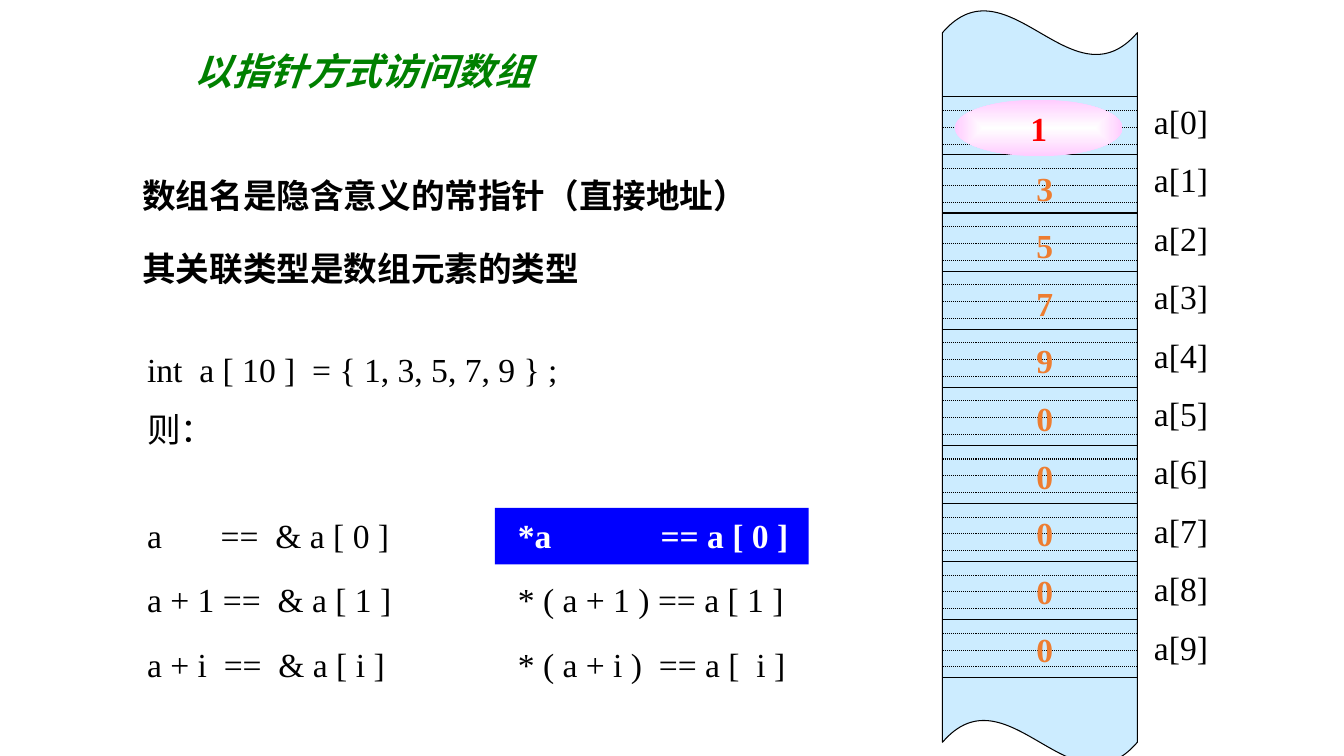
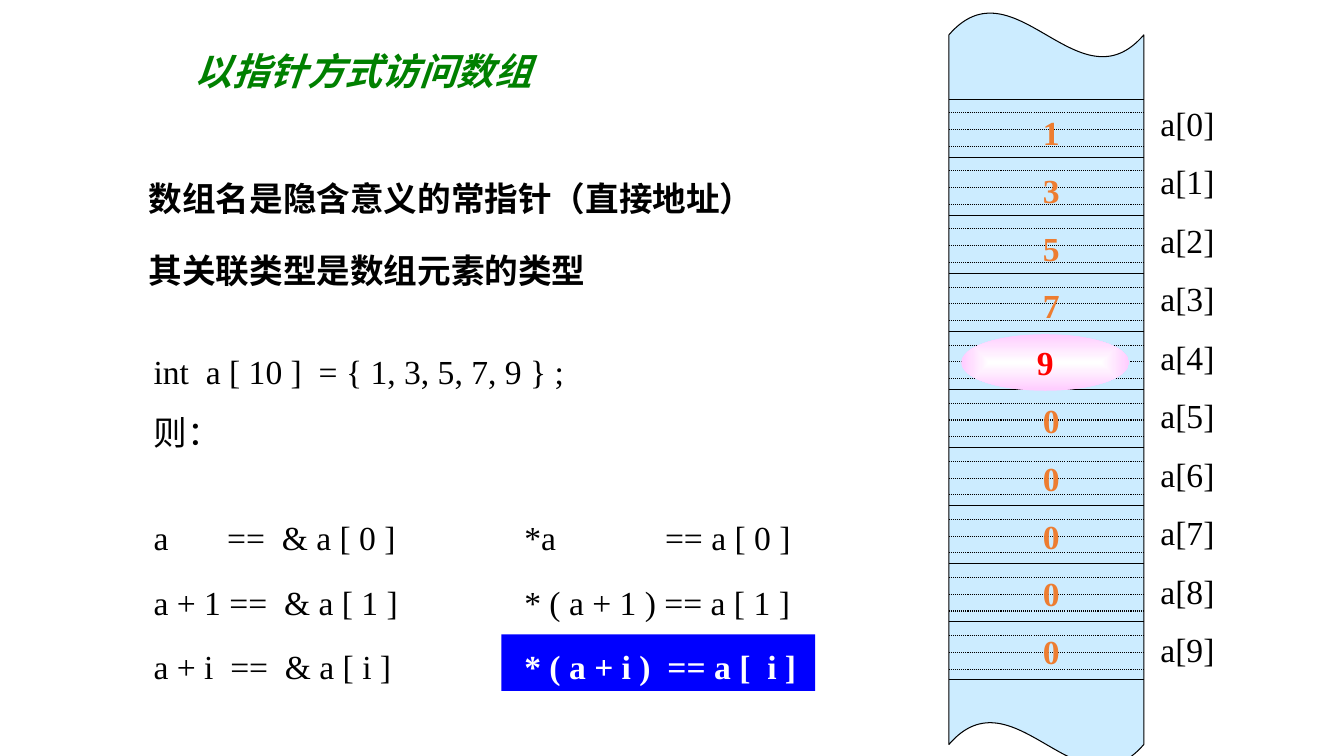
from lxml import etree
from pptx import Presentation
from pptx.dml.color import RGBColor
from pptx.enum.dml import MSO_LINE
from pptx.enum.shapes import MSO_CONNECTOR, MSO_SHAPE
from pptx.enum.text import MSO_ANCHOR, MSO_AUTO_SIZE, PP_ALIGN
from pptx.oxml.ns import qn
from pptx.util import Emu, Pt

LEFT, CENTER = PP_ALIGN.LEFT, PP_ALIGN.CENTER
TOP, MIDDLE = MSO_ANCHOR.TOP, MSO_ANCHOR.MIDDLE
RECT, OVAL, WAVE = MSO_SHAPE.RECTANGLE, MSO_SHAPE.OVAL, MSO_SHAPE.WAVE
STRAIGHT, DOTTED = MSO_CONNECTOR.STRAIGHT, MSO_LINE.ROUND_DOT
FIXED = MSO_AUTO_SIZE.NONE

COLS, ROWS, UNIT = 48, 27, 254000
SERIF, HAN = "Times New Roman", "Noto Sans CJK SC"
COLORS = {"ink": "000000", "title": "008000", "digit": "ED7D31",
          "hot": "FF0000", "mark": "0000FF", "white": "FFFFFF",
          "tape": "CCECFF", "glow": "FFCCFF"}

VALUES = [1, 3, 5, 7, 9, 0, 0, 0, 0, 0]
TITLE = "以指针方式访问数组"
FACTS = ["数组名是隐含意义的常指针（直接地址）", "其关联类型是数组元素的类型"]
CODE = ["int  a [ 10 ]  = { 1, 3, 5, 7, 9 } ;", "则："]
ADDRS = ["a       ==  & a [ 0 ]", "a + 1 ==  & a [ 1 ]", "a + i  ==  & a [ i ]"]
ITEMS = ["*a             == a [ 0 ]", "* ( a + 1 ) == a [ 1 ]",
         "* ( a + i )  == a [  i ]"]

TAPE_X, TAPE_W = 33.66, 6.96
FIRST, LAST = 3.46, 24.2
CELL = (LAST - FIRST) / len(VALUES)
DOT, DOT_GAP = 0.49, 0.6
MARK_STEP = 2.22


def color(name):
    """Return a named colour."""
    return RGBColor.from_string(COLORS[name])


def place(left, top, width, height, shift=(0, 0)):
    """Turn grid columns and rows into lengths."""
    cells = (left + shift[0], top + shift[1], width, height)
    return [Emu(round(cell * UNIT)) for cell in cells]


def write(frame, lines, size=24, font=SERIF, ink="ink", bold=False,
          italic=False, align=LEFT, anchor=TOP, space=1.0, hot=None):
    """Fill a text frame, with line hot in bold white."""
    frame.auto_size, frame.word_wrap = FIXED, True
    frame.vertical_anchor = anchor
    for row, line in enumerate(lines):
        para = frame.paragraphs[0] if row == 0 else frame.add_paragraph()
        para.alignment, para.line_spacing = align, space
        para.space_before = Pt(0)
        props = para._p.get_or_add_pPr()
        props.set("marL", "0")
        props.set("indent", "0")
        etree.SubElement(props, qn("a:buNone"))
        run = para.add_run()
        run.text = line
        run.font.name, run.font.size = font, Pt(size)
        run.font.bold, run.font.italic = bold or row == hot, italic
        run.font.color.rgb = color("white" if row == hot else ink)
        east = etree.SubElement(run._r.get_or_add_rPr(), qn("a:ea"))
        east.set("typeface", HAN)


def label(slide, box, lines, **style):
    """Add a text box."""
    write(slide.shapes.add_textbox(*box).text_frame, lines, **style)


def hold(slide, index, box, lines, **style):
    """Move and fill a placeholder."""
    holder = slide.placeholders[index]
    holder.left, holder.top, holder.width, holder.height = box
    write(holder.text_frame, lines, **style)


def shape(slide, kind, box, fill):
    """Add a plain shape without an outline."""
    item = slide.shapes.add_shape(kind, *box)
    item.shadow.inherit = False
    item.fill.solid()
    item.fill.fore_color.rgb = color(fill)
    item.line.fill.background()
    return item


def rule(slide, row, shift, dash=None):
    """Draw a line across the tape."""
    left, top, width, _ = place(TAPE_X, row, TAPE_W, 0, shift)
    line = slide.shapes.add_connector(STRAIGHT, left, top, left + width, top)
    line.line.color.rgb, line.line.width = color("ink"), Pt(0.75)
    if dash:
        line.line.dash_style = dash
    etree.SubElement(line._element.spPr, qn("a:effectLst"))


def glow(slide, index, shift):
    """Put a glowing oval on the current cell."""
    box = place(34.1, 3.56 + index * CELL, 6, 2.02, shift)
    oval = shape(slide, OVAL, box, "glow")
    oval.fill.gradient()
    for stop, name in zip(oval.fill.gradient_stops, ("white", "glow")):
        stop.color.rgb = color(name)
    grad = oval._element.spPr.find(qn("a:gradFill"))
    grad.remove(grad.find(qn("a:lin")))
    way = etree.SubElement(grad, qn("a:path"))
    way.set("path", "shape")
    focus = etree.SubElement(way, qn("a:fillToRect"))
    for side in "ltrb":
        focus.set(side, "50000")
    write(oval.text_frame, [str(VALUES[index])], ink="hot", bold=True,
          align=CENTER, anchor=MIDDLE)


def tape(slide, shift):
    """Draw the memory tape with its cells, values and names."""
    strip = shape(slide, WAVE, place(TAPE_X, 0.36, TAPE_W, 26.96, shift), "tape")
    strip.adjustments[0], strip.adjustments[1] = 0.03, 0
    strip.line.color.rgb, strip.line.width = color("ink"), Pt(0.75)
    for index in range(len(VALUES) + 1):
        rule(slide, FIRST + index * CELL, shift)
    for index in range(len(VALUES)):
        for dot in range(3):
            row = FIRST + index * CELL + DOT + dot * DOT_GAP
            rule(slide, row, shift, DOTTED)
    label(slide, place(40.86, 2.77, 3.2, 22.4, shift),
          [f"a[{index}]" for index in range(len(VALUES))], space=1.45)
    label(slide, place(36.65, 3.13, 1.33, 21.17, shift), map(str, VALUES),
          ink="digit", bold=True, align=CENTER, space=1.43)


def build(deck, cell, item, shift):
    """Build a slide that marks one cell and one expression."""
    slide = deck.slides.add_slide(deck.slide_layouts[1])
    hold(slide, 0, place(6.6, 1.55, 13.2, 2), [TITLE], size=26.7,
         ink="title", bold=True, italic=True)
    hold(slide, 1, place(4.72, 4.93, 22.64, 5.15, shift), FACTS,
         font=HAN, bold=True, space=1.8)
    shape(slide, RECT,
          place(17.68, 18.14 + item * MARK_STEP, 11.2, 2.02, shift), "mark")
    label(slide, place(4.9, 11.56, 16, 4.7, shift), CODE, space=1.5)
    label(slide, place(4.9, 17.35, 10.4, 7.35, shift), ADDRS, space=1.6)
    label(slide, place(18.14, 17.35, 11.95, 7.35, shift), ITEMS,
          space=1.6, hot=item)
    tape(slide, shift)
    glow(slide, cell, shift)


def main():
    """Build and save the deck."""
    deck = Presentation()
    deck.slide_width, deck.slide_height = Emu(COLS * UNIT), Emu(ROWS * UNIT)
    build(deck, cell=0, item=0, shift=(0, 0))
    build(deck, cell=4, item=2, shift=(0.23, 0.08))
    deck.save("out.pptx")


if __name__ == "__main__":
    main()
